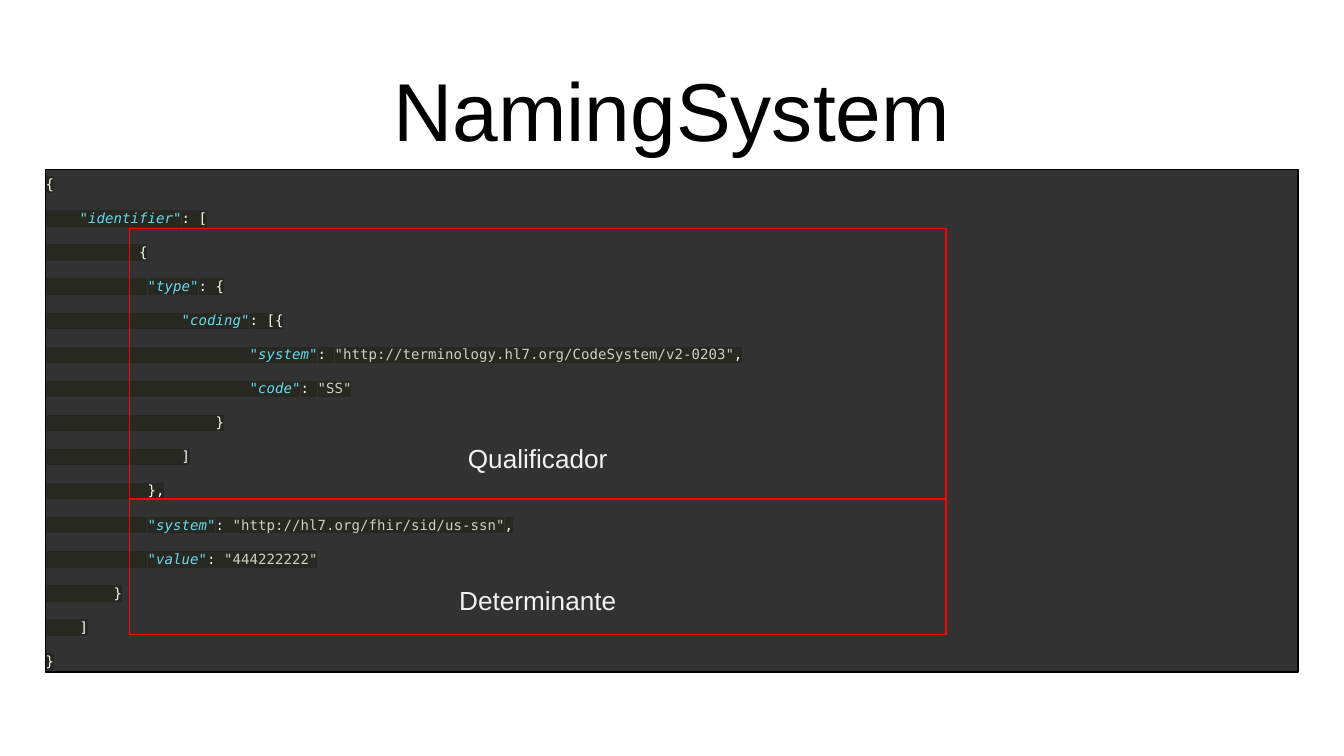
"""Build the NamingSystem slide with its annotated JSON identifier."""
from lxml import etree
from pptx import Presentation
from pptx.dml.color import RGBColor
from pptx.enum import shapes, text
from pptx.oxml import ns
from pptx.util import Pt

TITLE = "NamingSystem"
CODE = """{
    "identifier": [
           {
            "type": {
                "coding": [{
                        "system": "http://terminology.hl7.org/CodeSystem/v2-0203",
                        "code": "SS"
                    }
                ]
            },
            "system": "http://hl7.org/fhir/sid/us-ssn",
            "value": "444222222"
        }
    ]
}"""
FRAMES = [
    # label, top, height, space below the label
    ("Qualificador", 122.4, 145.2, 14),
    ("Determinante", 267.3, 72.7, 10.4),
]
LEFT, WIDTH = 24.5, 671
FRAME_LEFT, FRAME_WIDTH = 69.3, 437.6
PUNCTUATION, KEY, VALUE = "F8F8F2", "66D9EF", "CFCFC2"
HIGHLIGHT = "272822"


def color(value):
    return RGBColor.from_string(value)


def style(span, size, font, fill):
    span.font.size = Pt(size)
    span.font.name = font
    span.font.color.rgb = color(fill)


def set_frame(frame, anchor, margins=(0, 0, 0, 0)):
    frame.word_wrap = True
    frame.auto_size = text.MSO_AUTO_SIZE.NONE
    frame.vertical_anchor = anchor
    frame.margin_left, frame.margin_top, frame.margin_right, frame.margin_bottom = map(Pt, margins)


def add_box(page, left, top, width, height, line, fill=None):
    box = page.shapes.add_shape(
        shapes.MSO_SHAPE.RECTANGLE, Pt(left), Pt(top), Pt(width), Pt(height))
    box.shadow.inherit = False
    if fill:
        box.fill.solid()
        box.fill.fore_color.rgb = color(fill)
    else:
        box.fill.background()
    box.line.color.rgb = color(line)
    box.line.width = Pt(0.75)
    return box


def add_label(frame, label, size, fill):
    frame.text = label
    para = frame.paragraphs[0]
    para.alignment = text.PP_ALIGN.CENTER
    style(para.runs[0], size, "Arial", fill)


def highlight(span):
    fill = span.font._element.find(ns.qn("a:solidFill"))
    mark = etree.Element(ns.qn("a:highlight"))
    etree.SubElement(mark, ns.qn("a:srgbClr"), val=HIGHLIGHT)
    fill.addnext(mark)


def add_code_line(para, line):
    para.alignment = text.PP_ALIGN.LEFT
    para.line_spacing = 1.36
    para.space_before = Pt(6)
    for index, part in enumerate(line.split('"')):
        quoted = index % 2 == 1
        if not part:
            continue
        span = para.add_run()
        span.text = f'"{part}"' if quoted else part
        fill = {1: KEY, 3: VALUE}.get(index, PUNCTUATION)
        style(span, 7.5, "DejaVu Sans Mono", fill)
        span.font.italic = fill == KEY
        highlight(span)


def main():
    deck = Presentation()
    deck.slide_width, deck.slide_height = Pt(720), Pt(405)
    page = deck.slides.add_slide(deck.slide_layouts[6])

    title = page.shapes.add_textbox(Pt(LEFT), Pt(35.3), Pt(WIDTH), Pt(45.4))
    set_frame(title.text_frame, text.MSO_ANCHOR.MIDDLE)
    add_label(title.text_frame, TITLE, 44, "000000")

    panel = add_box(page, LEFT, 90.7, WIDTH, 269.3, "000000", "323232")
    set_frame(panel.text_frame, text.MSO_ANCHOR.TOP)
    for index, line in enumerate(CODE.splitlines()):
        frame = panel.text_frame
        add_code_line(frame.add_paragraph() if index else frame.paragraphs[0], line)

    for label, top, height, below in FRAMES:
        box = add_box(page, FRAME_LEFT, top, FRAME_WIDTH, height, "FF0000")
        set_frame(box.text_frame, text.MSO_ANCHOR.BOTTOM, (7.2, 7.2, 7.2, below))
        add_label(box.text_frame, label, 14, "F2F2F2")

    deck.save("out.pptx")


if __name__ == "__main__":
    main()
